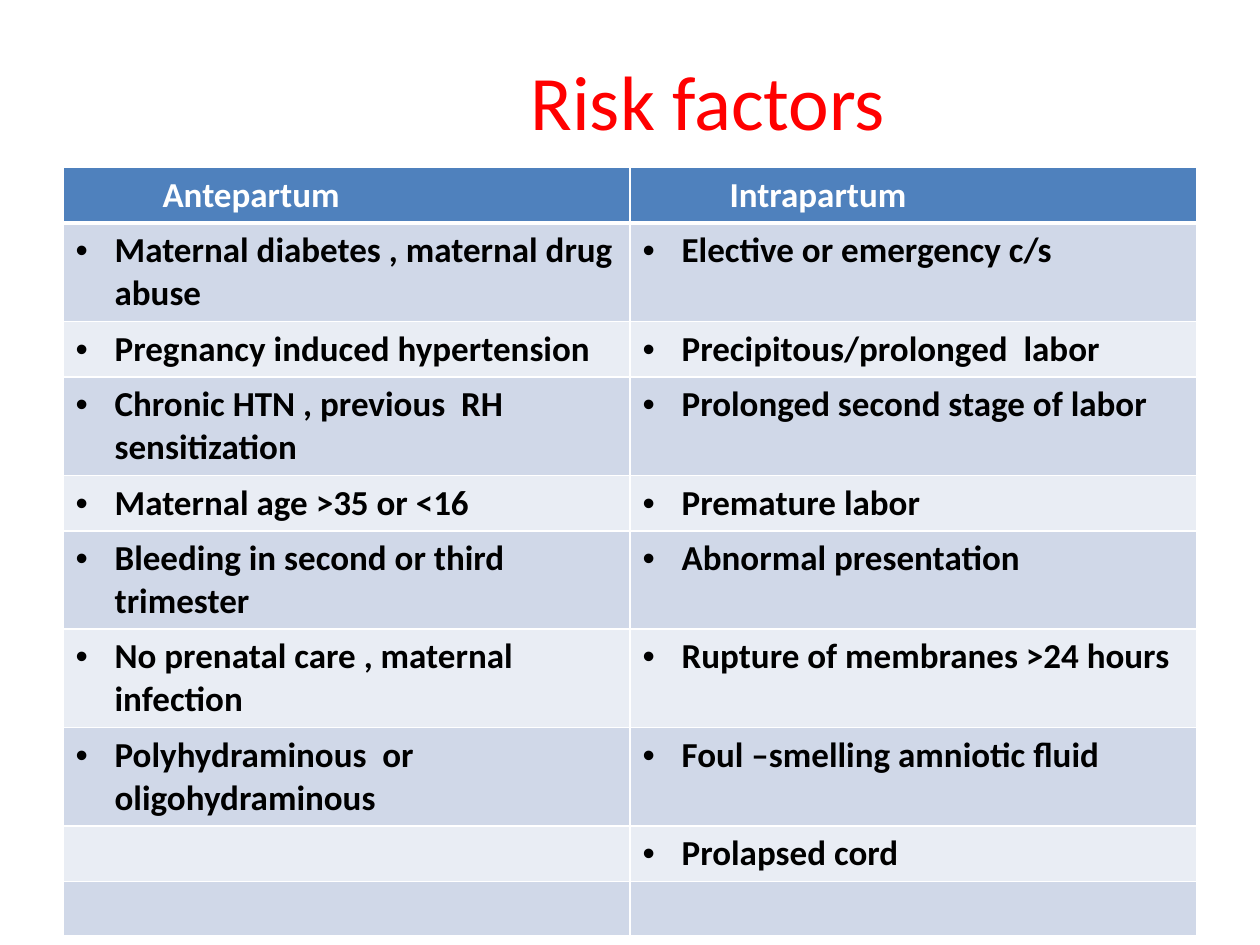
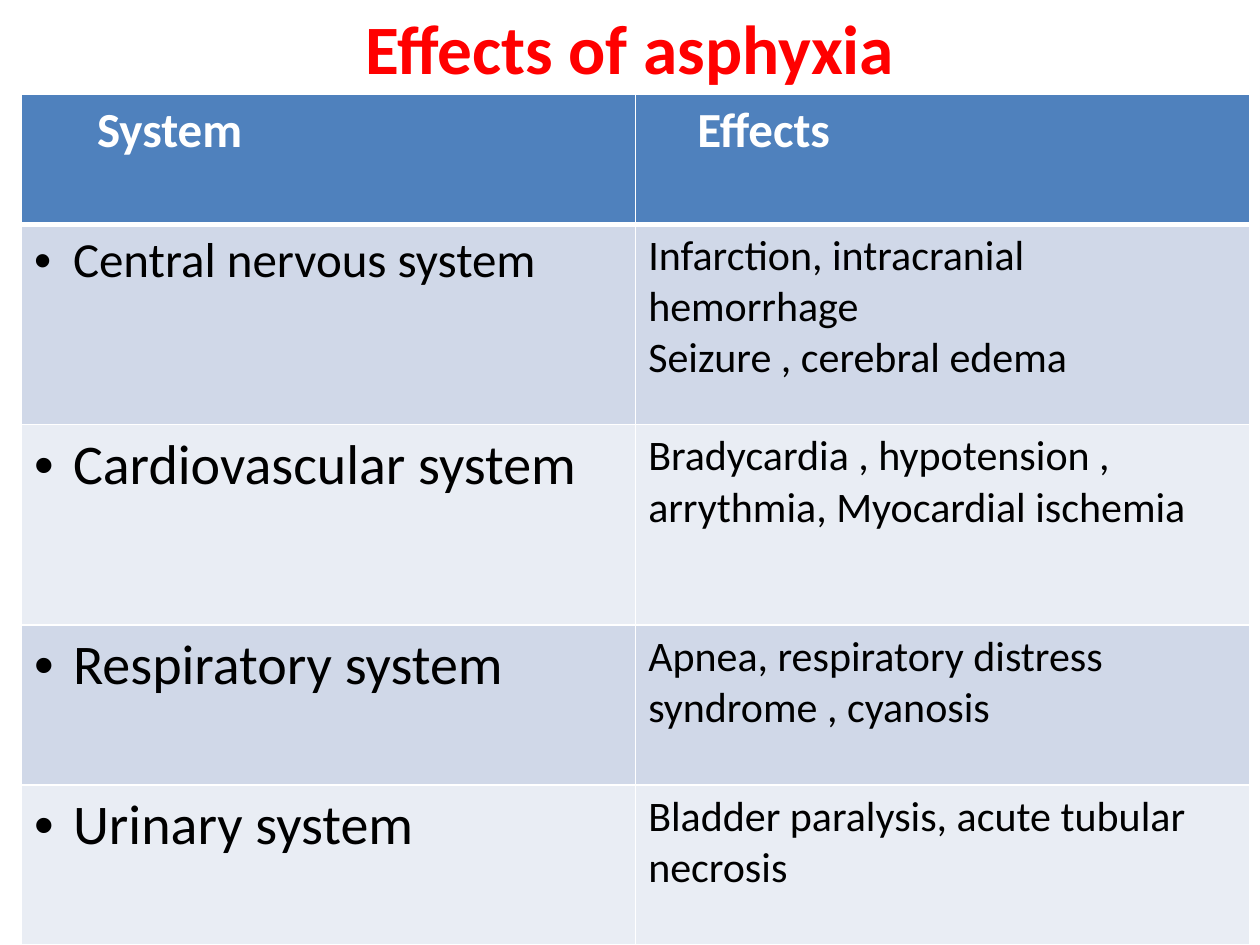
"""Build two slides of tables on the risk factors and effects of asphyxia."""
from lxml.etree import SubElement
from pptx import Presentation
from pptx.dml.color import RGBColor
from pptx.enum.text import MSO_ANCHOR, PP_ALIGN
from pptx.oxml.ns import qn
from pptx.util import Inches, Pt

FONT = "Calibri"
COLORS = {"title": "FF0000", "header": "4F81BD", "header_text": "FFFFFF", "text": "000000",
          "border": "FFFFFF", "odd": "D0D8E8", "even": "E9EDF4"}
BULLET_INDENT = 0.31
CELL_MARGIN = 0.1
LINE, HEADER_LINE = 1, 3

RISK_FACTORS = [
    ("Maternal diabetes , maternal drug abuse", "Elective or emergency c/s"),
    ("Pregnancy induced hypertension", "Precipitous/prolonged  labor"),
    ("Chronic HTN , previous  RH sensitization", "Prolonged second stage of labor"),
    ("Maternal age >35 or <16", "Premature labor"),
    ("Bleeding in second or third trimester", "Abnormal presentation"),
    ("No prenatal care , maternal  infection", "Rupture of membranes >24 hours"),
    ("Polyhydraminous  or oligohydraminous", "Foul –smelling amniotic fluid"),
    ("", "Prolapsed cord"),
    ("", ""),
]
EFFECTS = [
    ("Central nervous system", "Infarction, intracranial hemorrhage\nSeizure , cerebral edema"),
    ("Cardiovascular system", "Bradycardia , hypotension ,  arrythmia, Myocardial ischemia"),
    ("Respiratory system", "Apnea, respiratory distress syndrome , cyanosis"),
    ("Urinary system", "Bladder paralysis, acute tubular necrosis"),
]
SLIDES = [
    {
        "title": "Risk factors", "title_box": (0.5, 0.17, 9, 1.25), "title_size": 44,
        "title_bold": False, "title_indent": 1.24,
        "table_box": (0.5, 1.33, 9, 5.99),
        "heights": [0.43, 0.74, 0.43, 0.74, 0.43, 0.74, 0.74, 0.74, 0.43, 0.43],
        "headers": ("Antepartum", "Intrapartum"), "header_size": 20,
        "header_indents": (0.69, 0.69),
        "rows": RISK_FACTORS, "sizes": [(20, 20)] * len(RISK_FACTORS),
        "body_bold": True, "bulleted": (True, True),
    },
    {
        "title": "Effects of asphyxia", "title_box": (0.5, 0, 9, 0.75), "title_size": 39.6,
        "title_bold": True, "title_indent": 0,
        "table_box": (0.17, 0.75, 9.75, 6.75),
        "heights": [1.03, 1.59, 1.59, 1.27, 1.27],
        "headers": ("System", "Effects"), "header_size": 28,
        "header_indents": (0.5, 0.39),
        "rows": EFFECTS, "sizes": [(28, 24)] + [(32, 24)] * 3,
        "body_bold": False, "bulleted": (True, False),
    },
]


def set_font(paragraph, size, color, bold):
    font = paragraph.font
    font.name, font.size, font.bold = FONT, Pt(size), bold
    font.color.rgb = RGBColor.from_string(COLORS[color])


def add_bullet(paragraph):
    properties = paragraph._p.get_or_add_pPr()
    properties.set("marL", str(Inches(BULLET_INDENT)))
    properties.set("indent", str(-Inches(BULLET_INDENT)))
    SubElement(properties, qn("a:buFont")).set("typeface", "Arial")
    SubElement(properties, qn("a:buChar")).set("char", "•")


def style_cell(cell, row_number):
    widths = {"lnL": LINE, "lnR": LINE,
              "lnT": HEADER_LINE if row_number == 1 else LINE,
              "lnB": HEADER_LINE if row_number == 0 else LINE}
    properties = cell._tc.get_or_add_tcPr()
    for side, width in widths.items():
        line = SubElement(properties, qn(f"a:{side}"), w=str(Pt(width)))
        fill = SubElement(line, qn("a:solidFill"))
        SubElement(fill, qn("a:srgbClr"), val=COLORS["border"])
    band = "header" if row_number == 0 else "odd" if row_number % 2 else "even"
    cell.fill.solid()
    cell.fill.fore_color.rgb = RGBColor.from_string(COLORS[band])


def write_cell(cell, text, size, color, bold, bulleted=False):
    if not text:
        return
    cell.text = text
    for paragraph in cell.text_frame.paragraphs:
        if bulleted:
            add_bullet(paragraph)
        set_font(paragraph, size, color, bold)


def add_title(slide, content):
    title = slide.shapes.title
    title.left, title.top, title.width, title.height = map(Inches, content["title_box"])
    frame = title.text_frame
    frame.text = content["title"]
    frame.vertical_anchor = MSO_ANCHOR.MIDDLE
    frame.margin_left = Inches(CELL_MARGIN + content["title_indent"])
    paragraph = frame.paragraphs[0]
    paragraph.alignment = PP_ALIGN.CENTER
    set_font(paragraph, content["title_size"], "title", content["title_bold"])


def add_comparison(slide, content):
    heights = content["heights"]
    headers = content["headers"]
    box = map(Inches, content["table_box"])
    table = slide.shapes.add_table(len(heights), len(headers), *box).table
    for row, height in zip(table.rows, heights):
        row.height = Inches(height)
    for column, header in enumerate(headers):
        cell = table.cell(0, column)
        style_cell(cell, 0)
        cell.margin_left = Inches(CELL_MARGIN + content["header_indents"][column])
        write_cell(cell, header, content["header_size"], "header_text", True)
    for number, (texts, sizes) in enumerate(zip(content["rows"], content["sizes"]), 1):
        for column, (text, size) in enumerate(zip(texts, sizes)):
            cell = table.cell(number, column)
            style_cell(cell, number)
            write_cell(cell, text, size, "text", content["body_bold"],
                       content["bulleted"][column])


def main():
    presentation = Presentation()
    presentation.slide_width, presentation.slide_height = Inches(10), Inches(7.5)
    for content in SLIDES:
        slide = presentation.slides.add_slide(presentation.slide_layouts[5])
        add_title(slide, content)
        add_comparison(slide, content)
    presentation.save("out.pptx")


if __name__ == "__main__":
    main()
